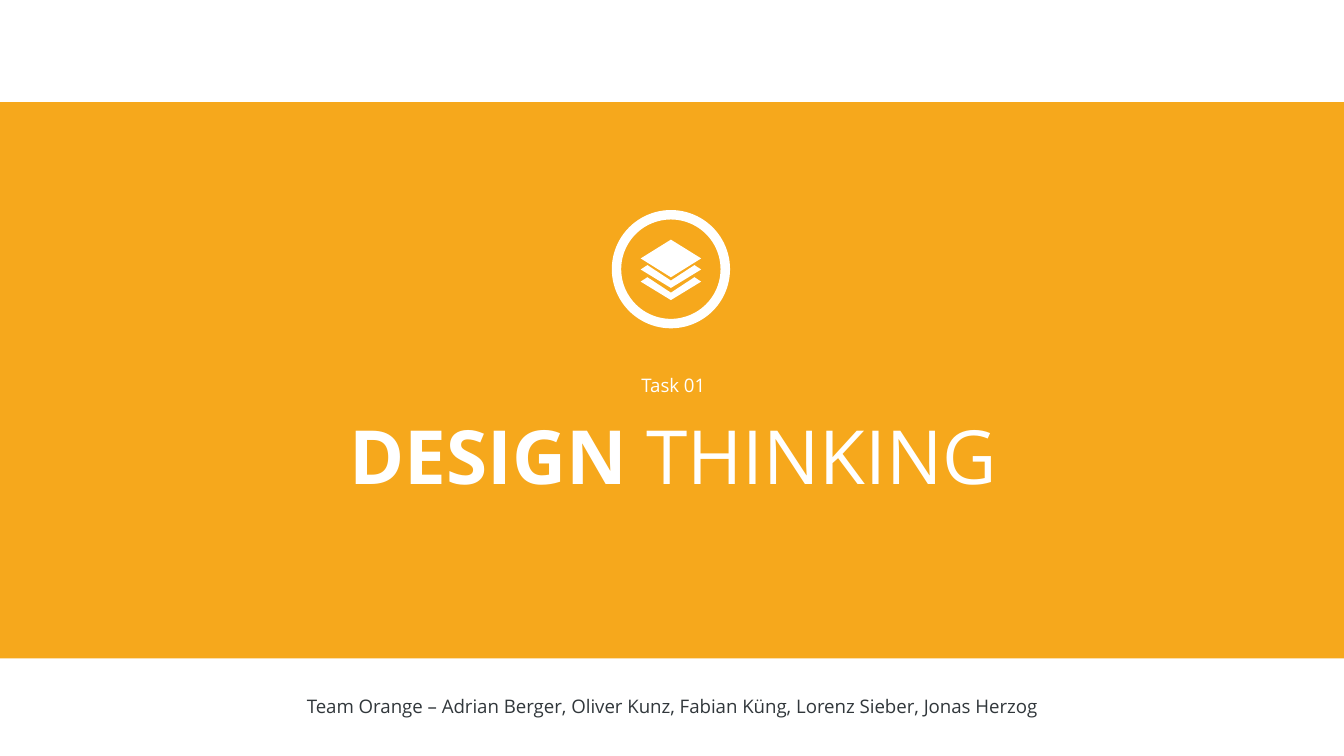
import pptx
import pptx.dml.color
import pptx.enum.shapes
import pptx.enum.text
import pptx.util
from lxml import etree

CELL = pptx.util.Inches(0.1)
COLUMNS, ROWS = 100, 56.25
SHAPES = pptx.enum.shapes.MSO_SHAPE
WHITE, ORANGE, SLATE = "FFFFFF", "F59E00", "31373B"


def grid(*cells):
    """Turn counts of grid cells into lengths."""
    return [pptx.util.Emu(round(count * CELL)) for count in cells]


def color(value):
    """Turn a hex string into a colour."""
    return pptx.dml.color.RGBColor.from_string(value)


def paint(shape, fill, opacity=100):
    """Give a shape a plain fill without line or shadow."""
    shape.shadow.inherit = False
    shape.line.fill.background()
    shape.fill.solid()
    shape.fill.fore_color.rgb = color(fill)
    if opacity < 100:
        namespace = "{http://schemas.openxmlformats.org/drawingml/2006/main}"
        tint = next(shape.element.spPr.iter(namespace + "srgbClr"))
        etree.SubElement(tint, namespace + "alpha", val=str(opacity * 1000))


def add_preset(shapes, kind, box, fill, opacity=100):
    """Add a painted preset shape."""
    shape = shapes.add_shape(kind, *grid(*box))
    paint(shape, fill, opacity)
    return shape


def add_chevron(shapes, center, top):
    """Add one lower layer of the stack icon."""
    outline = [(0, 1.15), (-1.75, 0), (-2.25, 0.33), (0, 1.7), (2.25, 0.33), (1.75, 0)]
    points = [grid(center + across, top + down) for across, down in outline]
    builder = shapes.build_freeform(*points[0])
    builder.add_line_segments(points[1:])
    paint(builder.convert_to_shape(), WHITE)


def add_icon(slide, center, middle):
    """Add the stack of layers inside a ring as one group."""
    shapes = slide.shapes.add_group_shape().shapes
    ring = add_preset(shapes, SHAPES.DONUT, (center - 4.4, middle - 4.4, 8.8, 8.8), WHITE)
    ring.adjustments[0] = 0.08
    for top in (middle + 0.6, middle - 0.3):
        add_chevron(shapes, center, top)
    add_preset(shapes, SHAPES.DIAMOND, (center - 2.25, middle - 2.2, 4.5, 2.8), WHITE)


def add_text(slide, box, runs, size, ink):
    """Add a centred line of text from pairs of wording and weight."""
    frame = slide.shapes.add_textbox(*grid(*box)).text_frame
    frame.word_wrap = True
    frame.auto_size = pptx.enum.text.MSO_AUTO_SIZE.SHAPE_TO_FIT_TEXT
    paragraph = frame.paragraphs[0]
    paragraph.alignment = pptx.enum.text.PP_ALIGN.CENTER
    paragraph.font.name = "Open Sans"
    paragraph.font.size = pptx.util.Pt(size)
    paragraph.font.color.rgb = color(ink)
    for wording, bold in runs:
        run = paragraph.add_run()
        run.text = wording
        run.font.bold = bold


def main():
    """Build the title slide."""
    presentation = pptx.Presentation()
    presentation.slide_width, presentation.slide_height = grid(COLUMNS, ROWS)
    slide = presentation.slides.add_slide(presentation.slide_layouts[6])
    add_preset(slide.shapes, SHAPES.RECTANGLE, (0, 7.6, COLUMNS, 41.4), ORANGE, 89)
    add_text(slide, (20.55, 30, 59.1, 7.7), [("DESIGN ", True), ("THINKING", False)], 40, WHITE)
    add_text(slide, (20.55, 27.35, 59.1, 2.7), [("Task 01", False)], 10, WHITE)
    add_icon(slide, 49.92, 20.03)
    team = "Team Orange – Adrian Berger, Oliver Kunz, Fabian Küng, Lorenz Sieber, Jonas Herzog"
    add_text(slide, (20.45, 51.2, 59.1, 2.7), [(team, False)], 10, SLATE)
    presentation.save("out.pptx")


if __name__ == "__main__":
    main()
